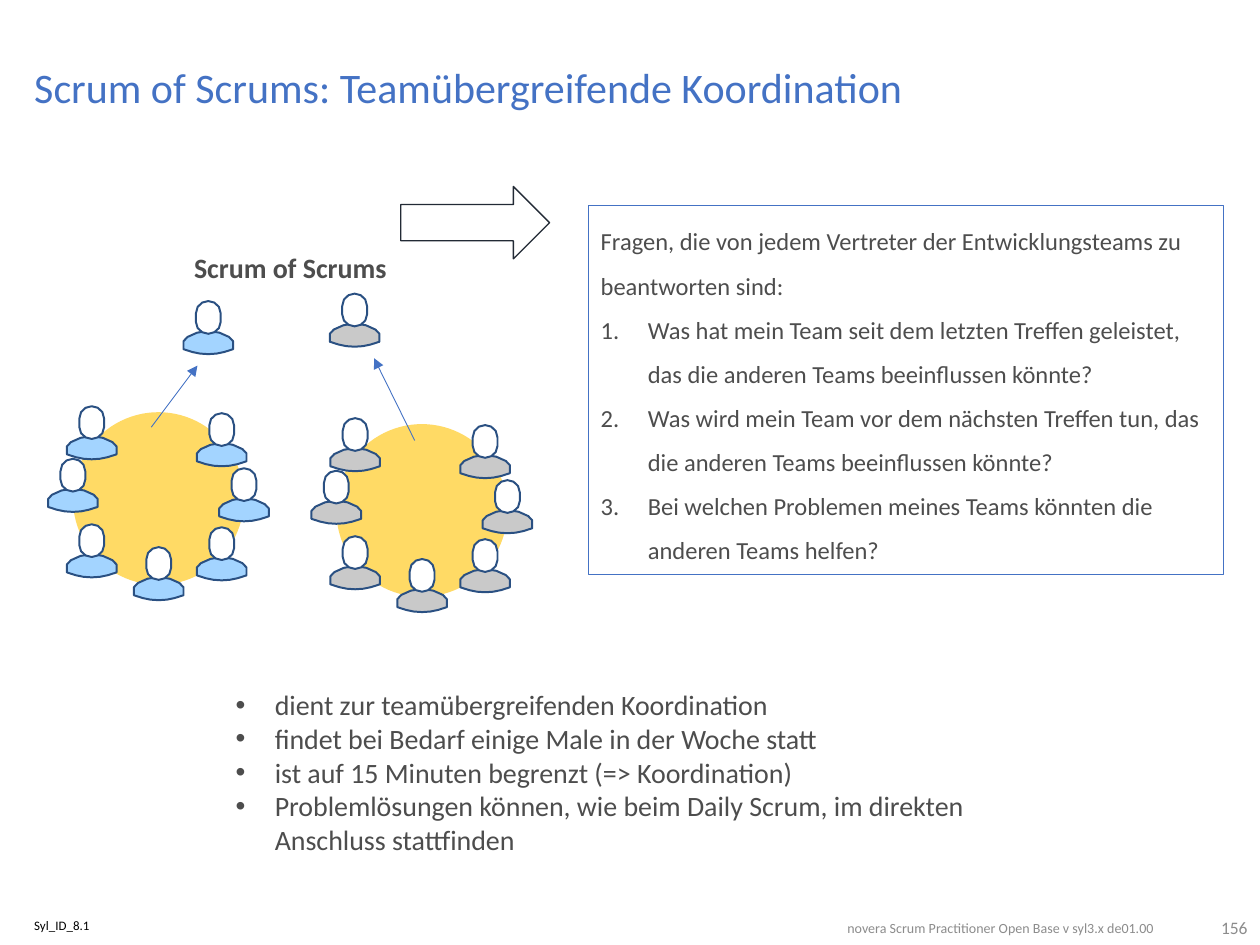
import pptx
import pptx.dml.color
import pptx.enum.shapes
import pptx.enum.text
import pptx.oxml
import pptx.oxml.ns
import pptx.util
from lxml import etree

Cm = pptx.util.Cm
Pt = pptx.util.Pt
ALIGN = pptx.enum.text.PP_ALIGN
ANCHOR = pptx.enum.text.MSO_ANCHOR
SHAPE = pptx.enum.shapes.MSO_SHAPE

FONT = "Calibri"
COLORS = {
    "title": "4472C4", "text": "4D4D4D", "footer": "8C8C8C", "black": "000000",
    "white": "FFFFFF", "circle": "FFDA65", "outline": "2A5082",
    "arrow": "222A35", "blue team": "A3D4FF", "gray team": "C9C9C9",
}

# Right halves of the person outline in cm, as Bezier segments from the centre line.
HEAD = [[(0, 0), (0.13, 0), (0.25, 0.1), (0.25, 0.25)],
        [(0.25, 0.42), (0.25, 0.56), (0.13, 0.66), (0, 0.66)]]
BODY = [[(0, 0.6), (0.22, 0.6), (0.5, 0.74), (0.5, 0.81)],
        [(0.5, 0.97), (0.3, 1.04), (0.18, 1.07), (0, 1.07)]]
CURVE_STEPS = 3

# Head positions (centre, top) in cm, relative to the corner of the team circle.
MEMBERS = [(1.73, 2.72), (0, 0.94), (3.45, 1.13), (3, 0.02),
           (0.38, -0.12), (0.38, 2.26), (3, 2.32)]

# Colour, circle corner, representative, arrow start and arrow end.
TEAMS = [
    ("blue team", (1.47, 8.31), (4.2, 6.07), (3.05, 8.61), (3.98, 7.37)),
    ("gray team", (6.78, 8.55), (7.15, 5.92), (8.36, 8.88), (7.54, 7.22)),
]

QUESTIONS = [
    "Fragen, die von jedem Vertreter der Entwicklungsteams zu beantworten sind:",
    "Was hat mein Team seit dem letzten Treffen geleistet, das die anderen Teams beeinflussen könnte?",
    "Was wird mein Team vor dem nächsten Treffen tun, das die anderen Teams beeinflussen könnte?",
    "Bei welchen Problemen meines Teams könnten die anderen Teams helfen?",
]
RULES = [
    "dient zur teamübergreifenden Koordination",
    "findet bei Bedarf einige Male in der Woche statt",
    "ist auf 15 Minuten begrenzt (=> Koordination)",
    "Problemlösungen können, wie beim Daily Scrum, im direkten Anschluss stattfinden",
]


def rgb(name):
    return pptx.dml.color.RGBColor.from_string(COLORS[name])


def place(shape, left, top, width, height):
    shape.left, shape.top = Cm(left), Cm(top)
    shape.width, shape.height = Cm(width), Cm(height)


def style_shape(shape, fill=None, line=None, width=0.75):
    shape.shadow.inherit = False
    if fill:
        shape.fill.solid()
        shape.fill.fore_color.rgb = rgb(fill)
    else:
        shape.fill.background()
    if line:
        shape.line.color.rgb = rgb(line)
        shape.line.width = Pt(width)
    else:
        shape.line.fill.background()


def write(shape, lines, size, color, bold=False, align=ALIGN.LEFT, spacing=None,
          insets=(0.25, 0.13, 0.25, 0.13), anchor=ANCHOR.TOP):
    """Fill a shape with one paragraph per line; insets are left, top, right, bottom."""
    frame = shape.text_frame
    frame.text = "\n".join(lines)
    frame.word_wrap = True
    frame.auto_size = pptx.enum.text.MSO_AUTO_SIZE.NONE
    frame.vertical_anchor = anchor
    (frame.margin_left, frame.margin_top,
     frame.margin_right, frame.margin_bottom) = map(Cm, insets)
    for paragraph in frame.paragraphs:
        paragraph.alignment = align
        if spacing:
            paragraph.line_spacing = spacing
        for run in paragraph.runs:
            run.font.name = FONT
            run.font.size = Pt(size)
            run.font.bold = bold
            run.font.color.rgb = rgb(color)
    return frame


def add_text(slide, box, lines, size, color, **options):
    textbox = slide.shapes.add_textbox(*map(Cm, box))
    return write(textbox, lines, size, color, **options)


def add_bullets(paragraphs, indent, numbered=False):
    for paragraph in paragraphs:
        properties = paragraph._p.get_or_add_pPr()
        properties.set("marL", str(Cm(indent)))
        properties.set("indent", str(-Cm(indent)))
        if numbered:
            bullet = etree.SubElement(properties, pptx.oxml.ns.qn("a:buAutoNum"))
            bullet.set("type", "arabicPeriod")
        else:
            font = etree.SubElement(properties, pptx.oxml.ns.qn("a:buFont"))
            font.set("typeface", "Arial")
            bullet = etree.SubElement(properties, pptx.oxml.ns.qn("a:buChar"))
            bullet.set("char", "•")


def curve_points(segment):
    for step in range(CURVE_STEPS + 1):
        t = step / CURVE_STEPS
        weights = ((1 - t) ** 3, 3 * t * (1 - t) ** 2, 3 * t * t * (1 - t), t ** 3)
        yield tuple(sum(w * point[axis] for w, point in zip(weights, segment))
                    for axis in (0, 1))


def add_symmetric_outline(slide, half, center, top, fill):
    right = [point for segment in half for point in curve_points(segment)]
    left = [(-x, y) for x, y in reversed(right)]
    points = [(Cm(center + x), Cm(top + y)) for x, y in right + left[1:-1]]
    builder = slide.shapes.build_freeform(*points[0])
    builder.add_line_segments(points[1:], close=True)
    style_shape(builder.convert_to_shape(), fill, "outline", 1.13)


def add_person(slide, center, top, color):
    add_symmetric_outline(slide, BODY, center, top, color)
    add_symmetric_outline(slide, HEAD, center, top, "white")


def add_team(slide, color, corner):
    left, top = corner
    circle = slide.shapes.add_shape(SHAPE.OVAL, Cm(left), Cm(top), Cm(3.45), Cm(3.48))
    style_shape(circle, "circle")
    for x, y in MEMBERS:
        add_person(slide, left + x, top + y, color)


def add_arrow(slide, start, end):
    connector = slide.shapes.add_connector(
        pptx.enum.shapes.MSO_CONNECTOR.STRAIGHT, *map(Cm, start + end))
    connector.line.color.rgb = rgb("title")
    connector.line.width = Pt(0.5)
    tail = etree.SubElement(connector.line._get_or_add_ln(), pptx.oxml.ns.qn("a:tailEnd"))
    tail.set("type", "triangle")
    etree.SubElement(connector._element.spPr, pptx.oxml.ns.qn("a:effectLst"))


def add_questions(slide):
    arrow = slide.shapes.add_shape(SHAPE.RIGHT_ARROW, Cm(8.08), Cm(3.76), Cm(3), Cm(1.46))
    style_shape(arrow, line="arrow")
    box = slide.shapes.add_shape(SHAPE.RECTANGLE, Cm(11.86), Cm(4.14), Cm(12.8), Cm(7.44))
    style_shape(box, line="title")
    frame = write(box, QUESTIONS, 14, "text", spacing=1.5)
    add_bullets(frame.paragraphs[1:], 0.95, numbered=True)


def add_footer(slide):
    flush = (0, 0, 0, 0)
    add_text(slide, (0.69, 18.54, 10.06, 0.41), ["Syl_ID_8.1"], 7.4, "black",
             spacing=0.9, insets=flush)
    add_text(slide, (14.81, 18.54, 8.46, 0.41),
             ["novera Scrum Practitioner Open Base v syl3.x de01.00"], 8, "footer",
             align=ALIGN.RIGHT, insets=flush)
    add_text(slide, (23.5, 18.49, 1.65, 0.51), ["156"], 10, "footer",
             align=ALIGN.RIGHT, insets=flush)


def main():
    presentation = pptx.Presentation()
    presentation.slide_width, presentation.slide_height = Cm(25.4), Cm(19.05)
    slide = presentation.slides.add_slide(presentation.slide_layouts[5])

    title = slide.shapes.title
    place(title, 0.69, 1.14, 24.03, 1.35)
    write(title, ["Scrum of Scrums: Teamübergreifende Koordination"], 24, "title",
          spacing=0.9, insets=(0, 0.13, 0.25, 0.13), anchor=ANCHOR.MIDDLE)

    for color, corner, *_ in TEAMS:
        add_team(slide, color, corner)
    add_text(slide, (3.48, 4.93, 4.75, 0.94), ["Scrum of Scrums"], 16, "text",
             bold=True, align=ALIGN.CENTER)
    add_questions(slide)
    rules = add_text(slide, (4.5, 13.74, 16.51, 3.68), RULES, 16, "text")
    add_bullets(rules.paragraphs, 0.79)
    for color, _, representative, start, end in TEAMS:
        add_person(slide, *representative, color)
        add_arrow(slide, start, end)
    add_footer(slide)
    presentation.save("out.pptx")


if __name__ == "__main__":
    main()
